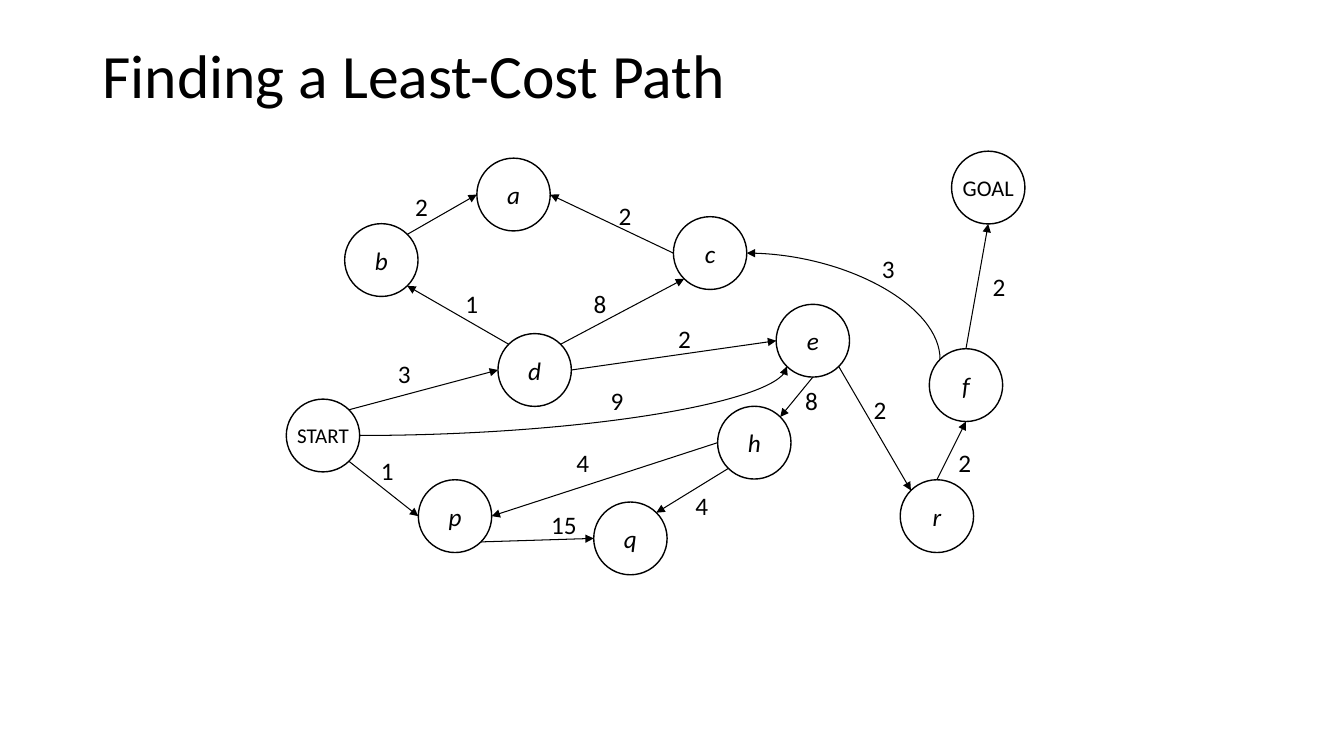
from math import cos, radians, sin

from lxml.etree import SubElement
from pptx import Presentation
from pptx.dml.color import RGBColor
from pptx.enum.shapes import MSO_CONNECTOR as Line, MSO_SHAPE as Shape
from pptx.enum.text import MSO_ANCHOR as Anchor, PP_ALIGN as Align
from pptx.oxml.ns import qn
from pptx.util import Pt

TITLE = "Finding a Least-Cost Path"
FONT = "Calibri"
COLORS = {"ink": "000000", "paper": "FFFFFF"}
NODE_WIDTH, NODE_HEIGHT = 52.4, 52
LABEL_HEIGHT = 29

# name: left, top, text size
NODES = {
    "START": (204.5, 285.1, 15),
    "GOAL": (679.7, 108, 16),
    "d": (355.7, 238.3, 18),
    "b": (246.2, 159.8, 18),
    "p": (298.8, 342.7, 18),
    "q": (424.1, 358.6, 18),
    "c": (481, 154.8, 18),
    "e": (554.4, 217.4, 18),
    "h": (512.6, 290.2, 18),
    "a": (340.6, 113, 18),
    "f": (663.8, 249.1, 18),
    "r": (643, 342.7, 18),
}

# Angles of the points where edges meet a node, clockwise from the right
SIDES = {
    "right": 0, "bottom right": 45, "bottom": 90, "bottom left": 135,
    "left": 180, "top left": 225, "top": 270, "top right": 315,
}

# from node, side, to node, side, cost, left and top of the cost
STRAIGHT_EDGES = [
    ("START", "bottom right", "p", "left", 1, 265, 321.8),
    ("p", "bottom right", "q", "left", 15, 386.6, 360),
    ("h", "bottom left", "q", "top right", 4, 489.6, 347),
    ("h", "left", "p", "right", 4, 404.6, 316.1),
    ("e", "bottom", "h", "top right", 8, 568.1, 271.4),
    ("e", "bottom right", "r", "top left", 2, 617, 277.9),
    ("r", "top", "f", "bottom", 2, 677.5, 316.1),
    ("f", "top", "GOAL", "bottom", 2, 702, 190.1),
    ("START", "top right", "d", "left", 3, 277.2, 252.7),
    ("d", "top left", "b", "bottom right", 1, 325.4, 202.3),
    ("b", "top right", "a", "left", 2, 289.4, 133.2),
    ("c", "left", "a", "right", 2, 434.9, 139.7),
    ("d", "top right", "c", "bottom left", 8, 416.9, 202.3),
    ("d", "right", "e", "left", 2, 477.4, 227.5),
]

# Each curve leaves its first node sideways; the last item is the arrow's end
CURVED_EDGES = [
    ("c", "right", "f", "top left", 3, 622.8, 177.1, "headEnd"),
    ("START", "right", "e", "bottom left", 9, 429.1, 271.4, "tailEnd"),
]


def color(name):
    return RGBColor.from_string(COLORS[name])


def write(para, text, size, italic=False):
    span = para.add_run()
    span.text = text
    span.font.name = FONT
    span.font.size = Pt(size)
    span.font.italic = italic
    span.font.color.rgb = color("ink")


def add_title(page):
    title = page.shapes.title
    title.left, title.top, title.width, title.height = Pt(66), Pt(28.8), Pt(828), Pt(104.4)
    title.text_frame.vertical_anchor = Anchor.TOP
    para = title.text_frame.paragraphs[0]
    para.alignment = Align.LEFT
    para.line_spacing = 0.9
    write(para, TITLE, 44)


def add_node(page, name, left, top, size):
    node = page.shapes.add_shape(Shape.FLOWCHART_CONNECTOR, Pt(left), Pt(top),
                                 Pt(NODE_WIDTH), Pt(NODE_HEIGHT))
    node.shadow.inherit = False
    node.fill.background()
    node.line.color.rgb = color("ink")
    node.line.width = Pt(1)
    frame = node.text_frame
    frame.word_wrap = False
    frame.vertical_anchor = Anchor.MIDDLE
    frame.paragraphs[0].alignment = Align.CENTER
    write(frame.paragraphs[0], name, size, italic=len(name) == 1)


def rim_point(name, side):
    left, top, _ = NODES[name]
    angle = radians(SIDES[side])
    return (Pt(left + NODE_WIDTH / 2 * (1 + cos(angle))),
            Pt(top + NODE_HEIGHT / 2 * (1 + sin(angle))))


def add_edge(page, start, end, arrow_end="tailEnd", curved=False):
    kind = Line.CURVE if curved else Line.STRAIGHT
    edge = page.shapes.add_connector(kind, *rim_point(*start), *rim_point(*end))
    edge.line.color.rgb = color("ink")
    edge.line.width = Pt(0.75)
    properties = edge._element.spPr
    if curved:
        properties.find(qn("a:prstGeom")).set("prst", "curvedConnector2")
    SubElement(properties.find(qn("a:ln")), qn(f"a:{arrow_end}"), type="triangle")
    SubElement(properties, qn("a:effectLst"))


def add_cost(page, cost, left, top):
    text = str(cost)
    width = 24.5 if len(text) == 1 else 36.7
    box = page.shapes.add_textbox(Pt(left), Pt(top), Pt(width), Pt(LABEL_HEIGHT))
    box.text_frame.word_wrap = True
    write(box.text_frame.paragraphs[0], text, 18)


def main():
    deck = Presentation()
    deck.slide_width, deck.slide_height = Pt(960), Pt(540)
    page = deck.slides.add_slide(deck.slide_layouts[5])
    page.background.fill.solid()
    page.background.fill.fore_color.rgb = color("paper")

    add_title(page)
    for name, (left, top, size) in NODES.items():
        add_node(page, name, left, top, size)
    for source, exit_side, target, entry_side, *_ in STRAIGHT_EDGES:
        add_edge(page, (source, exit_side), (target, entry_side))
    for first, first_side, second, second_side, *_, arrow_end in CURVED_EDGES:
        add_edge(page, (first, first_side), (second, second_side), arrow_end, curved=True)
    for edge in STRAIGHT_EDGES + CURVED_EDGES:
        add_cost(page, *edge[4:7])

    deck.save("out.pptx")


if __name__ == "__main__":
    main()
